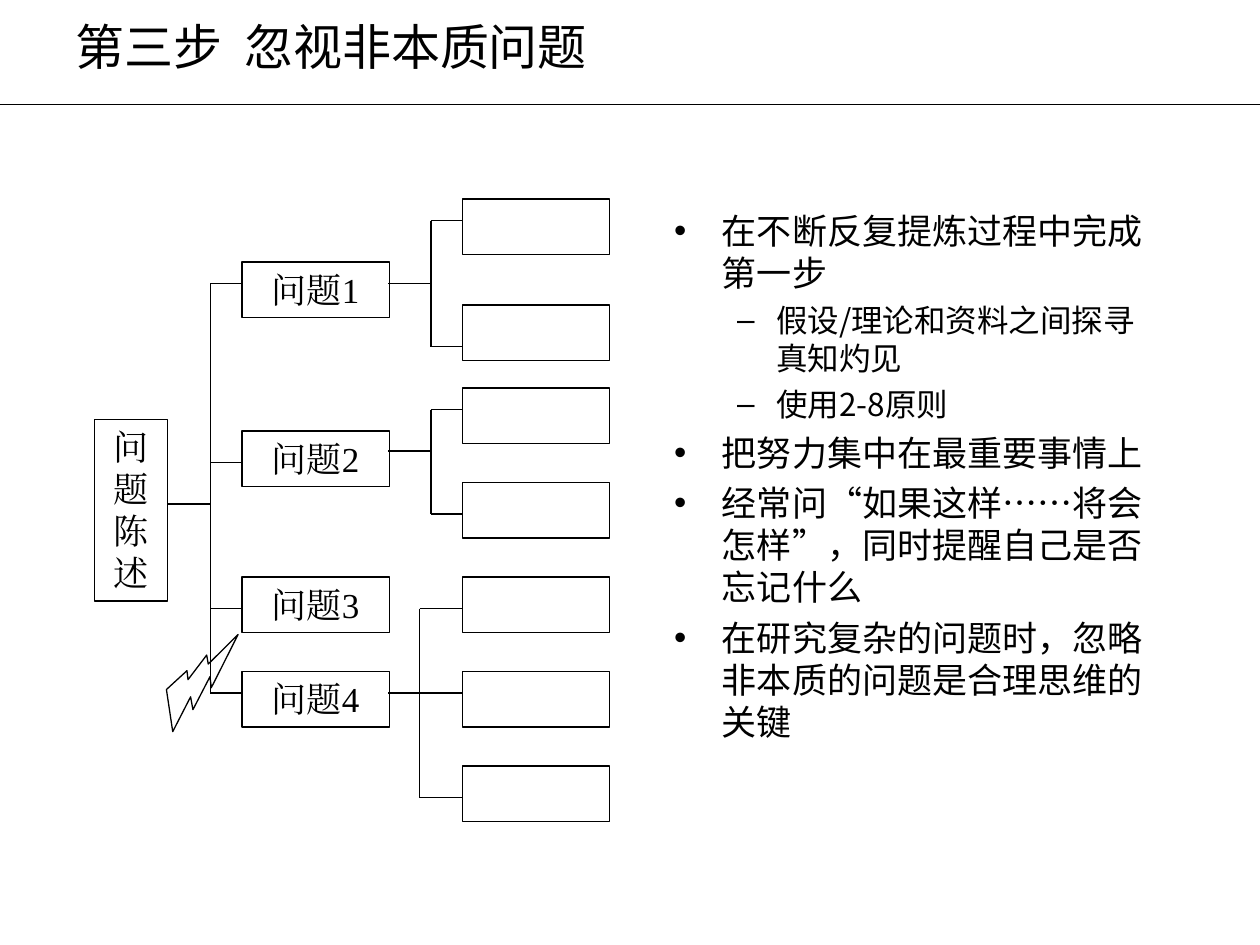
from dataclasses import dataclass

from lxml.etree import SubElement
from pptx import Presentation
from pptx.dml.color import RGBColor
from pptx.enum.shapes import MSO_CONNECTOR as Connector, MSO_SHAPE as Preset
from pptx.enum.text import MSO_ANCHOR as Anchor, MSO_AUTO_SIZE as AutoSize, PP_ALIGN as Align
from pptx.oxml.ns import qn
from pptx.util import Inches, Pt

COLORS = {"ink": "000000", "paper": "FFFFFF"}
SANS = "Noto Sans CJK SC"
SERIF = "Times New Roman"
LINE_WIDTH = Pt(0.75)
BOX_HEIGHT = 0.44
BOX_WIDTH = 1.17
ISSUE_LEFT = 1.92
DETAIL_LEFT = 3.67


@dataclass
class Box:
    left: float
    top: float
    width: float = BOX_WIDTH
    height: float = BOX_HEIGHT
    label: str = ""


@dataclass
class Branch:
    parent_right: float
    joint_y: float
    trunk_x: float
    child_left: float
    child_ys: tuple[float, ...]


@dataclass
class Bullet:
    label: str
    level: int = 0


@dataclass
class BulletStyle:
    mark: str
    size: float
    space_before: float
    margin: float
    hanging: float


BULLET_STYLES = (
    BulletStyle("•", 20, 5, 0.38, 0.38),
    BulletStyle("–", 18, 4.5, 0.81, 0.31),
)

BULLETS = (
    Bullet("在不断反复提炼过程中完成第一步"),
    Bullet("假设/理论和资料之间探寻真知灼见", 1),
    Bullet("使用2-8原则", 1),
    Bullet("把努力集中在最重要事情上"),
    Bullet("经常问“如果这样……将会怎样”，同时提醒自己是否忘记什么"),
    Bullet("在研究复杂的问题时，忽略非本质的问题是合理思维的关键"),
)

ISSUE_TOPS = (2.08, 3.42, 4.58, 5.33)
DETAIL_TOPS = (1.58, 2.42, 3.08, 3.83, 4.58, 5.33, 6.08)

BOXES = (
    [Box(0.75, 3.33, 0.58, 1.44, "问题陈述")]
    + [Box(ISSUE_LEFT, top, label=f"问题{number}") for number, top in enumerate(ISSUE_TOPS, 1)]
    + [Box(DETAIL_LEFT, top) for top in DETAIL_TOPS]
)

BRANCHES = (
    Branch(1.33, 4, 1.67, ISSUE_LEFT, (2.25, 3.67, 4.83, 5.5)),
    Branch(3.08, 2.25, 3.42, DETAIL_LEFT, (1.75, 2.75)),
    Branch(3.08, 3.58, 3.42, DETAIL_LEFT, (3.25, 4.08)),
    Branch(3.08, 5.5, 3.33, DETAIL_LEFT, (4.83, 5.5, 6.33)),
)


def color(name: str) -> RGBColor:
    return RGBColor.from_string(COLORS[name])


def add_run(paragraph, words: str, size: float, font_name: str) -> None:
    run = paragraph.add_run()
    run.text = words
    run.font.size = Pt(size)
    run.font.name = font_name
    run.font.color.rgb = color("ink")
    SubElement(run.font._element, qn("a:ea"), typeface=font_name)


def place(target, left: float, top: float, width: float, height: float) -> None:
    target.left, target.top = Inches(left), Inches(top)
    target.width, target.height = Inches(width), Inches(height)


def draw_line(slide, x1: float, y1: float, x2: float, y2: float) -> None:
    line = slide.shapes.add_connector(
        Connector.STRAIGHT, Inches(x1), Inches(y1), Inches(x2), Inches(y2)
    )
    line.line.color.rgb = color("ink")
    line.line.width = LINE_WIDTH
    SubElement(line._element.spPr, qn("a:effectLst"))


def draw_outline(slide, preset: Preset, box: Box):
    outline = slide.shapes.add_shape(
        preset, Inches(box.left), Inches(box.top), Inches(box.width), Inches(box.height)
    )
    outline.shadow.inherit = False
    outline.fill.background()
    outline.line.color.rgb = color("ink")
    outline.line.width = LINE_WIDTH
    return outline


def draw_box(slide, box: Box) -> None:
    outline = draw_outline(slide, Preset.RECTANGLE, box)
    if box.label:
        frame = outline.text_frame
        frame.word_wrap = True
        frame.auto_size = AutoSize.SHAPE_TO_FIT_TEXT
        frame.vertical_anchor = Anchor.TOP
        paragraph = frame.paragraphs[0]
        paragraph.alignment = Align.CENTER
        paragraph.space_before = Pt(12.5)
        add_run(paragraph, box.label, 20, SERIF)


def draw_branch(slide, branch: Branch) -> None:
    straight_through = branch.joint_y in branch.child_ys
    stem_end = branch.child_left if straight_through else branch.trunk_x
    draw_line(slide, branch.parent_right, branch.joint_y, stem_end, branch.joint_y)
    draw_line(slide, branch.trunk_x, branch.child_ys[0], branch.trunk_x, branch.child_ys[-1])
    for y in branch.child_ys:
        if y != branch.joint_y:
            draw_line(slide, branch.trunk_x, y, branch.child_left, y)


def write_title(title) -> None:
    place(title, 0.5, 0.17, 9.17, 0.39)
    title.text_frame.auto_size = AutoSize.NONE
    title.text_frame.vertical_anchor = Anchor.MIDDLE
    paragraph = title.text_frame.paragraphs[0]
    paragraph.alignment = Align.LEFT
    add_run(paragraph, "第三步  忽视非本质问题", 28, SANS)


def write_bullets(body, bullets: tuple[Bullet, ...]) -> None:
    place(body, 5.25, 1.61, 4, 4.71)
    frame = body.text_frame
    frame.auto_size = AutoSize.NONE
    frame.vertical_anchor = Anchor.TOP
    for index, bullet in enumerate(bullets):
        paragraph = frame.add_paragraph() if index else frame.paragraphs[0]
        style = BULLET_STYLES[bullet.level]
        paragraph.level = bullet.level
        paragraph.space_before = Pt(style.space_before)
        properties = paragraph._p.get_or_add_pPr()
        properties.set("marL", str(Inches(style.margin)))
        properties.set("indent", str(-Inches(style.hanging)))
        mark_color = SubElement(properties, qn("a:buClr"))
        SubElement(mark_color, qn("a:srgbClr"), val=COLORS["ink"])
        SubElement(properties, qn("a:buChar"), char=style.mark)
        add_run(paragraph, bullet.label, style.size, SANS)


def main() -> None:
    deck = Presentation()
    deck.slide_width, deck.slide_height = Inches(10), Inches(7.5)
    slide = deck.slides.add_slide(deck.slide_layouts[1])
    slide.background.fill.solid()
    slide.background.fill.fore_color.rgb = color("paper")

    draw_line(slide, 0, 0.83, 10, 0.83)
    write_title(slide.shapes.title)
    write_bullets(slide.placeholders[1], BULLETS)
    for box in BOXES:
        draw_box(slide, box)
    for branch in BRANCHES:
        draw_branch(slide, branch)
    bolt = draw_outline(slide, Preset.LIGHTNING_BOLT, Box(1.17, 5.16, 0.83, 0.51))
    bolt.rotation = 277.2

    deck.save("out.pptx")


if __name__ == "__main__":
    main()
